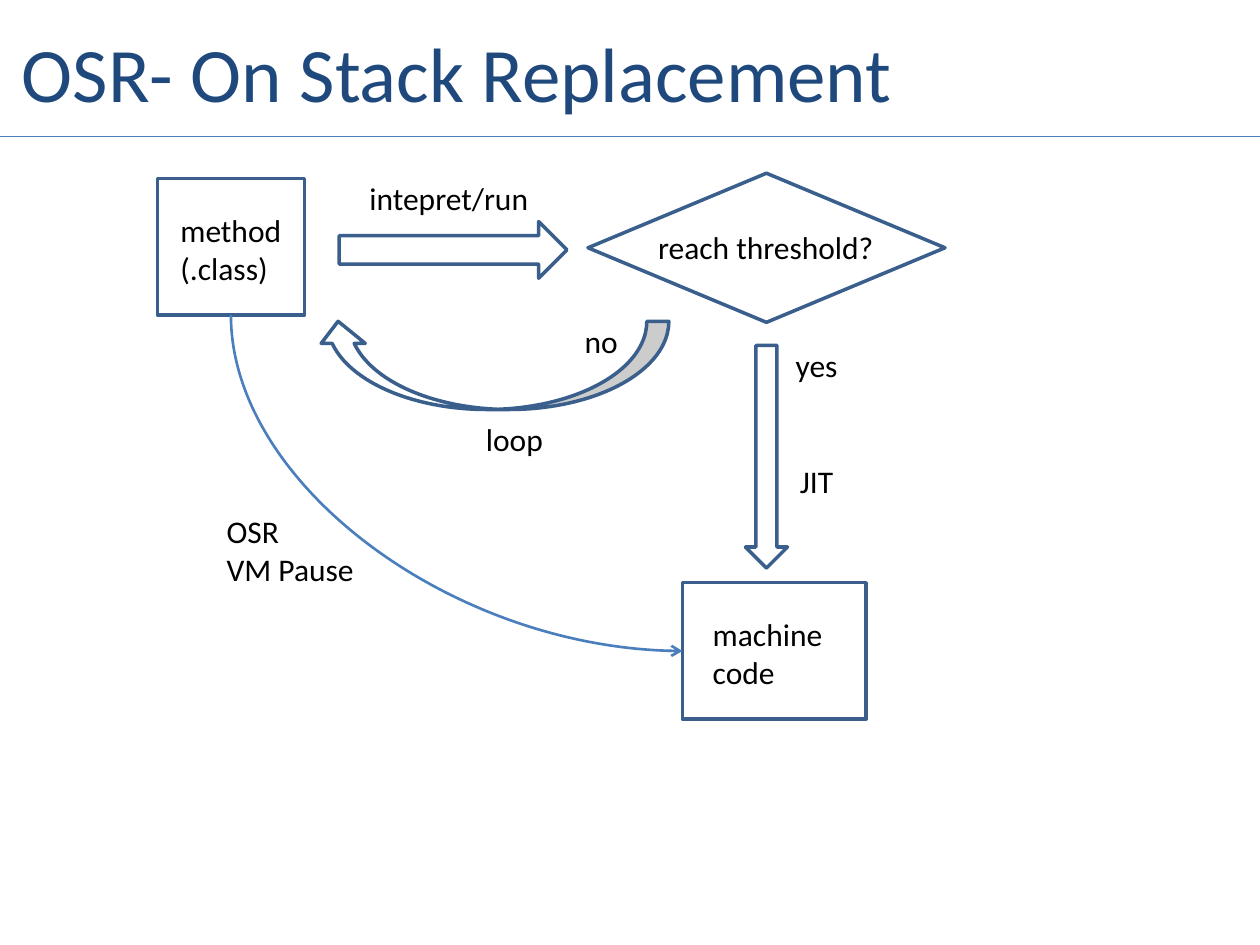
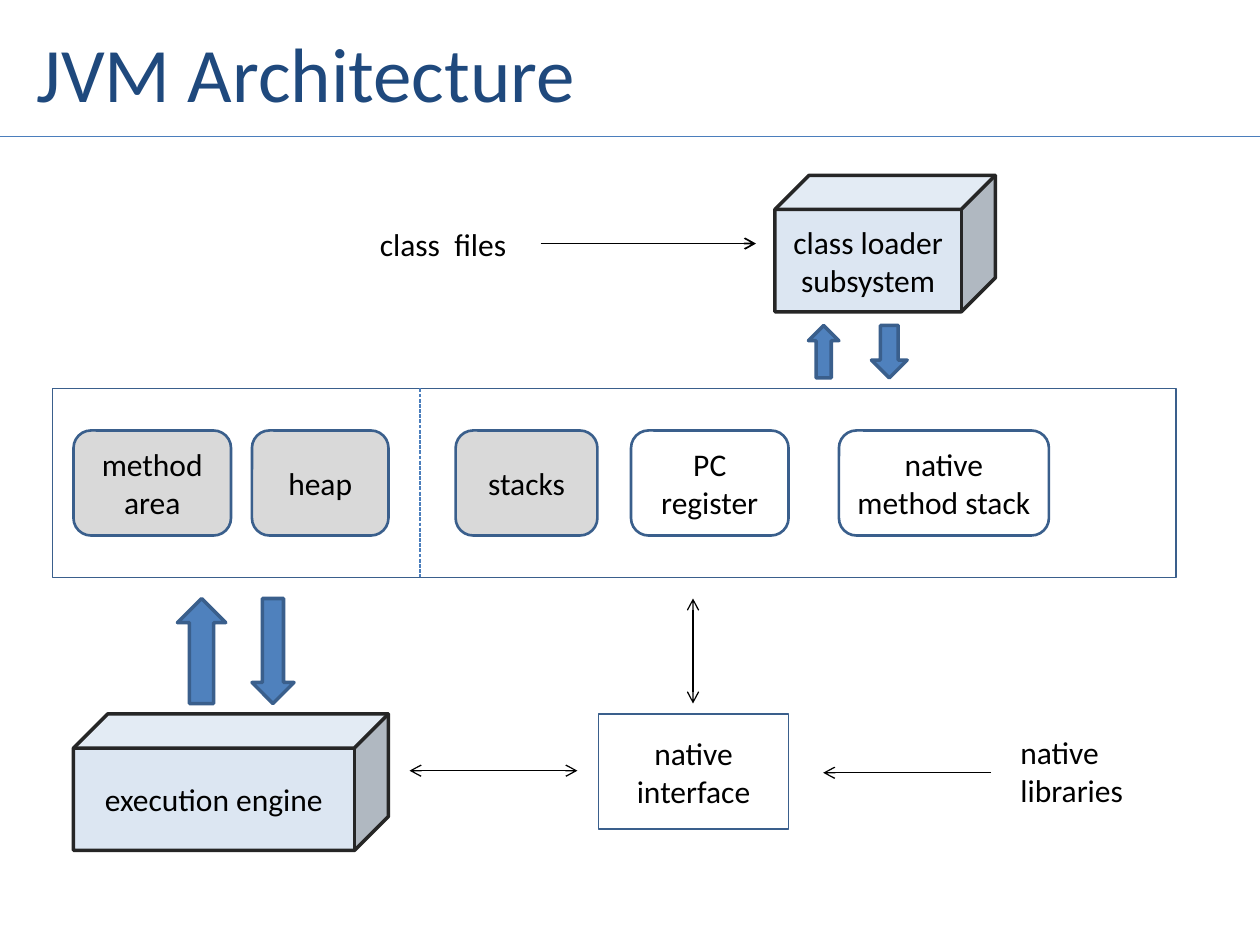
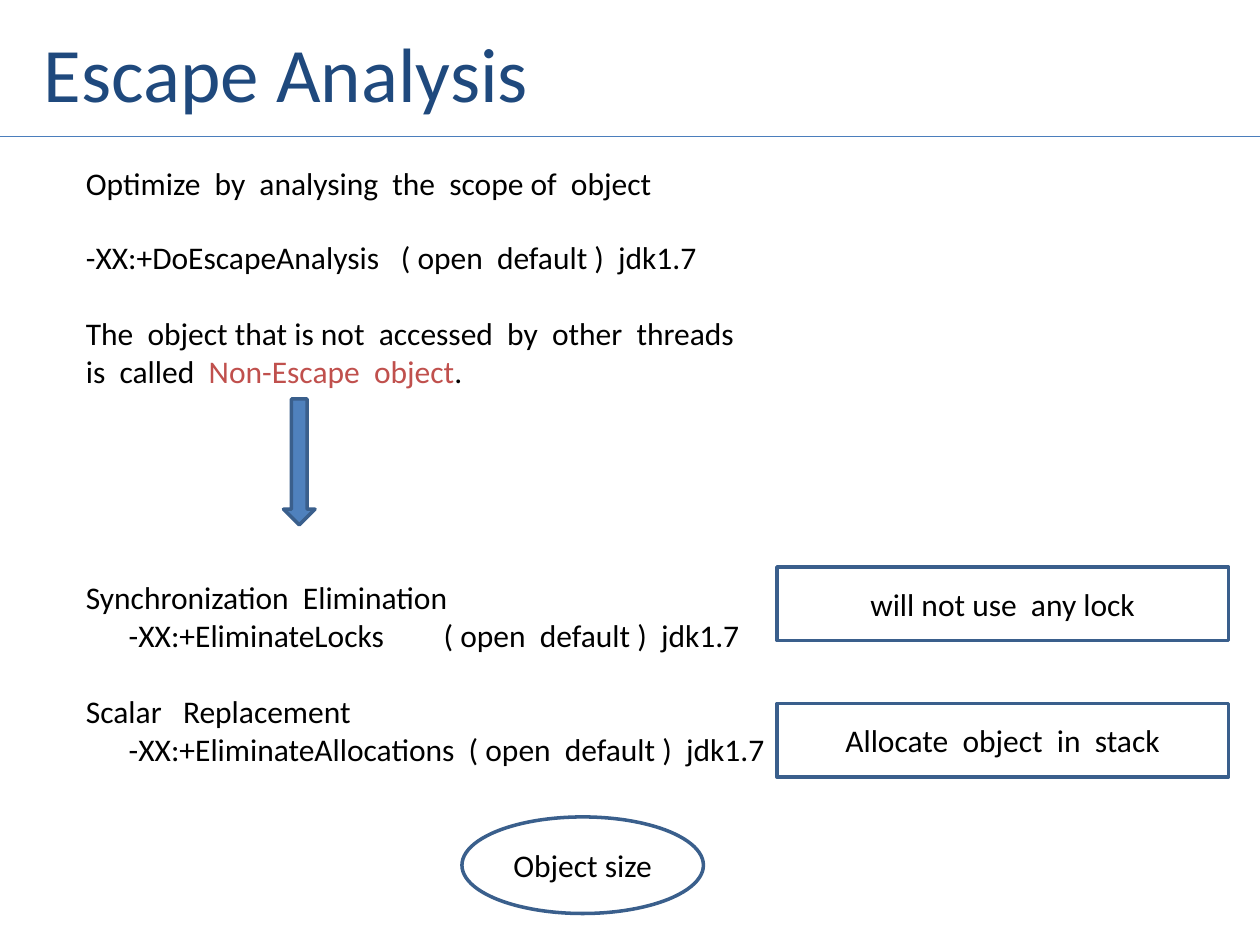
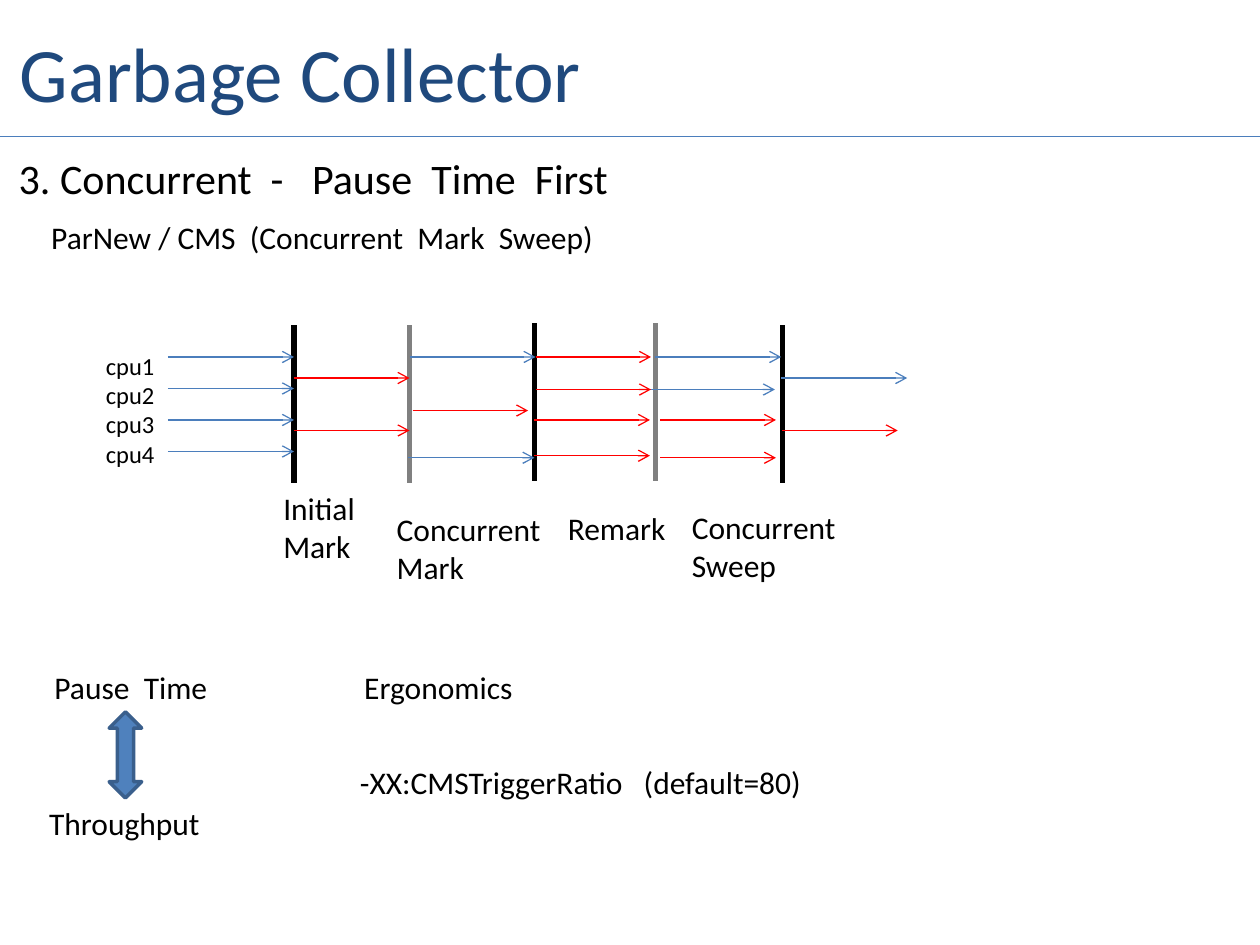
from lxml.etree import SubElement
from pptx import Presentation
from pptx.dml.color import RGBColor
from pptx.enum.dml import MSO_LINE
from pptx.enum.shapes import MSO_CONNECTOR, MSO_SHAPE
from pptx.enum.text import MSO_ANCHOR, PP_ALIGN
from pptx.oxml.ns import qn
from pptx.util import Emu, Inches, Pt

COLORS = {
    "title": "1F497D", "text": "000000", "white": "FFFFFF",
    "outline": "3A5F8C", "line": "4B7EBC", "arrow": "4F81BD",
    "cube": "DCE6F2", "cube_edge": "262626", "shared": "D9D9D9",
    "accent": "C0504D", "gc": "FF0000", "gray": "808080",
}
FONT = "Calibri"
COLUMNS, ROWS = 120, 90
CELL = Inches(10) // COLUMNS
LABEL_ROWS, TWO_LINE_ROWS = 4.8, 8.5
TEXT_LINE = 21.6  # height in points of one line of 18 pt text


def rgb(name):
    return RGBColor.from_string(COLORS[name])


def cells(*counts):
    """Turn numbers of grid cells into lengths."""
    return [Emu(round(count * CELL)) for count in counts]


def style_text(frame, size, color="text", align=None):
    for paragraph in frame.paragraphs:
        paragraph.alignment = align
        for run in paragraph.runs:
            run.font.name = FONT
            run.font.size = Pt(size)
            run.font.color.rgb = rgb(color)


def label(slide, text, column, row, width, height=LABEL_ROWS, size=18,
          color="text"):
    box = slide.shapes.add_textbox(*cells(column, row, width, height))
    frame = box.text_frame
    frame.word_wrap = True
    frame.text = text
    style_text(frame, size, color)
    return frame


def node(slide, kind, column, row, width, height, text="", fill="white",
         outline="outline", weight=2):
    """Add a preset shape, with centred text if there is any."""
    shape = slide.shapes.add_shape(kind, *cells(column, row, width, height))
    shape.shadow.inherit = False
    shape.fill.solid()
    shape.fill.fore_color.rgb = rgb(fill)
    shape.line.color.rgb = rgb(outline)
    shape.line.width = Pt(weight)
    if text:
        frame = shape.text_frame
        frame.word_wrap = True
        frame.vertical_anchor = MSO_ANCHOR.MIDDLE
        frame.text = text
        style_text(frame, 18, align=PP_ALIGN.CENTER)
    return shape


def line(slide, start, end, color="line", weight=0.75, ends=(),
         kind=MSO_CONNECTOR.STRAIGHT):
    """Add a line; ends names the open arrowheads, headEnd before tailEnd."""
    connector = slide.shapes.add_connector(kind, *cells(*start, *end))
    connector.line.color.rgb = rgb(color)
    connector.line.width = Pt(weight)
    outline = connector.line._get_or_add_ln()
    for end_tag in ends:
        SubElement(outline, qn(f"a:{end_tag}"), type="arrow")
    SubElement(connector._element.spPr, qn("a:effectLst"))
    return connector


def arrow(slide, start, end, color="line", weight=0.75):
    return line(slide, start, end, color, weight, ("tailEnd",))


def double_arrow(slide, start, end):
    line(slide, start, end, "text", ends=("headEnd", "tailEnd"))


def down_then_right(slide, start, end):
    """Add a quarter-curve arrow that leaves downwards and arrives rightwards."""
    curve = line(slide, start, end, weight=1.5, ends=("tailEnd",),
                 kind=MSO_CONNECTOR.CURVE)
    (x1, y1), (x2, y2) = start, end
    across, down = x2 - x1, y2 - y1
    curve.left, curve.top, curve.width, curve.height = cells(
        (x1 + x2 - down) / 2, (y1 + y2 - across) / 2, down, across)
    properties = curve._element.spPr
    properties.find(qn("a:prstGeom")).set("prst", "curvedConnector2")
    transform = properties.find(qn("a:xfrm"))
    transform.set("rot", str(270 * 60000))
    transform.set("flipH", "1")


def titled_slide(deck, title, column):
    slide = deck.slides.add_slide(deck.slide_layouts[6])
    heading = label(slide, title, column, 0, 105, 13.7, 44, "title")
    heading.vertical_anchor = MSO_ANCHOR.MIDDLE
    line(slide, (0, 13), (COLUMNS, 13))
    return slide


def osr_slide(deck):
    slide = titled_slide(deck, "OSR- On Stack Replacement", 0.9)
    node(slide, MSO_SHAPE.RECTANGLE, 15, 17, 14, 13)
    node(slide, MSO_SHAPE.DIAMOND, 56, 16.5, 34, 14.2)
    node(slide, MSO_SHAPE.RIGHT_ARROW, 32.3, 21.1, 21.7, 5.4)
    loop_back = node(slide, MSO_SHAPE.CURVED_DOWN_ARROW, 30.1, 30.6, 33.6, 8.4)
    loop_back.rotation = 180
    node(slide, MSO_SHAPE.DOWN_ARROW, 71, 32.9, 4, 21.2)
    node(slide, MSO_SHAPE.RECTANGLE, 65, 55.5, 17.5, 13)
    down_then_right(slide, (22, 30), (65, 62))

    for text, column, row, width in (
        ("intepret/run", 34, 16.5, 20.5),
        ("reach threshold?", 61.5, 21.1, 23),
        ("no", 54.5, 30.1, 24.5),
        ("yes", 74.6, 32.4, 10),
        ("loop", 45.1, 39.4, 13),
        ("JIT", 75, 43.4, 15),
    ):
        label(slide, text, column, row, width)
    for text, column, row, width in (
        ("method\n(.class)", 16, 19.5, 13),
        ("machine\ncode", 66.7, 58, 14.3),
        ("OSR\nVM Pause", 20.4, 48.2, 17.3),
    ):
        label(slide, text, column, row, width, TWO_LINE_ROWS)


def architecture_slide(deck):
    slide = titled_slide(deck, "JVM Architecture", 2.3)
    for text, column, row, width in (
        ("class loader subsystem", 73.8, 16.7, 21),
        ("execution engine", 7, 68, 30),
    ):
        node(slide, MSO_SHAPE.CUBE, column, row, width, 13, text,
             "cube", "cube_edge")

    node(slide, MSO_SHAPE.RECTANGLE, 5, 37, 107, 18, weight=0.75)
    for text, column, width, fill in (
        ("method area", 7, 15, "shared"),
        ("heap", 24, 13, "shared"),
        ("stacks", 43.4, 13.5, "shared"),
        ("PC register", 60.1, 15, "white"),
        ("native method stack", 79.9, 20, "white"),
    ):
        node(slide, MSO_SHAPE.ROUNDED_RECTANGLE, column, 41, width, 10, text,
             fill, weight=1.5)
    divider = line(slide, (40, 37), (40, 55))
    divider.line.dash_style = MSO_LINE.SQUARE_DOT

    node(slide, MSO_SHAPE.RECTANGLE, 57, 68, 18.1, 11, "native interface",
         weight=1)
    label(slide, "class  files", 35, 20.8, 16.6)
    label(slide, "native libraries", 96, 69.2, 16, TWO_LINE_ROWS)

    arrow(slide, (51.5, 23.2), (72, 23.2), "text", 1)
    arrow(slide, (94.4, 73.6), (78.4, 73.6), "text")
    double_arrow(slide, (66, 57), (66, 67))
    double_arrow(slide, (39, 73.4), (55, 73.4))
    for kind, column, row, width, height in (
        (MSO_SHAPE.UP_ARROW, 77, 31, 2.9, 5),
        (MSO_SHAPE.DOWN_ARROW, 83, 31, 3.4, 5),
        (MSO_SHAPE.UP_ARROW, 16.9, 57, 4.6, 10),
        (MSO_SHAPE.DOWN_ARROW, 24, 57, 4, 10),
    ):
        node(slide, kind, column, row, width, height, fill="arrow")


def set_flag_layout(paragraph, indent):
    """Indent a JVM flag and line its default up on a tab stop."""
    properties = paragraph._p.get_or_add_pPr()
    properties.set("marL", str(Inches(indent)))
    properties.set("indent", "0")
    tabs = SubElement(properties, qn("a:tabLst"))
    SubElement(tabs, qn("a:tab"), pos=str(Inches(2.77)), algn="l")


def escape_slide(deck):
    slide = titled_slide(deck, "Escape Analysis", 3)
    label(slide, "Optimize  by  analysing  the  scope of  object", 7, 15, 80)

    # Each entry: text, lines of space above, indent in inches
    entries = (
        ("-XX:+DoEscapeAnalysis\t( open  default )  jdk1.7", 0, 0),
        ("The  object that is not  accessed  by  other  threads", 1, 0),
        ("is  called  ", 0, 0),
        ("Synchronization  Elimination", 5, 0),
        ("-XX:+EliminateLocks\t( open  default )  jdk1.7", 0, 0.34),
        ("Scalar   Replacement", 1, 0),
        ("-XX:+EliminateAllocations  ( open  default )  jdk1.7", 0, 0.34),
    )
    frame = label(slide, "\n".join(entry[0] for entry in entries),
                  7, 22.1, 71, 55.7)
    for paragraph, (text, lines_above, indent) in zip(frame.paragraphs, entries):
        paragraph.space_before = Pt(lines_above * TEXT_LINE)
        if text.startswith("-XX"):
            set_flag_layout(paragraph, indent)
    definition = frame.paragraphs[2]
    term, stop = definition.add_run(), definition.add_run()
    term.text, stop.text = "Non-Escape  object", "."
    style_text(frame, 18)
    term.font.color.rgb = rgb("accent")

    node(slide, MSO_SHAPE.DOWN_ARROW, 27, 38, 3, 12, fill="arrow")
    for text, row in (("will not use  any lock", 54),
                      ("Allocate  object  in  stack", 67)):
        node(slide, MSO_SHAPE.RECTANGLE, 74, row, 43, 7, text)
    node(slide, MSO_SHAPE.OVAL, 44, 77.8, 23, 9.2, "Object size")


def collector_slide(deck):
    slide = titled_slide(deck, "Garbage Collector", 0.7)
    label(slide, "3. Concurrent  -   Pause  Time  First", 0.6, 13.9, 69.5, 6,
          size=24)
    label(slide, "ParNew / CMS  (Concurrent  Mark  Sweep)", 3.7, 20.2, 79)
    label(slide, "cpu1\ncpu2\ncpu3\ncpu4", 8.9, 32.8, 11, 12.5, size=14)

    for column, top, color in (
        (28, 31, "text"), (39, 31, "gray"), (50.9, 30.8, "text"),
        (62.4, 30.8, "gray"), (74.5, 31, "text"),
    ):
        line(slide, (column, top), (column, top + 15), color, 3)

    application_threads = (
        (16, (34, 37, 40, 43)), (39, (34,)), (38.9, (43.6,)),
        (62.4, (34,)), (61.8, (37.1,)), (74.4, (36,)),
    )
    collector_threads = (
        (28, (36, 41)), (39.3, (39.1,)), (51, (34, 37.1)),
        (50.9, (40, 43.4)), (62.9, (40, 43.6)), (74.5, (41,)),
    )
    for threads, length, color in ((application_threads, 12, "line"),
                                   (collector_threads, 11, "gc")):
        for column, rows in threads:
            for row in rows:
                arrow(slide, (column, row), (column + length, row), color)

    for phase, column, row, width, height in (
        ("Initial\nMark", 25.8, 46, 10.8, TWO_LINE_ROWS),
        ("Concurrent\nMark", 36.6, 48, 16.7, TWO_LINE_ROWS),
        ("Remark", 52.9, 47.9, 12, LABEL_ROWS),
        ("Concurrent\nSweep", 64.7, 47.8, 16.7, TWO_LINE_ROWS),
    ):
        label(slide, phase, column, row, width, height)

    label(slide, "Pause  Time", 4, 63, 27.2)
    label(slide, "Throughput", 3.5, 76, 22.8)
    node(slide, MSO_SHAPE.UP_DOWN_ARROW, 10.4, 67.8, 3.1, 8.2, fill="arrow")
    label(slide, "Ergonomics", 33.5, 63, 52)
    label(slide, "-XX:CMSTriggerRatio   (default=80)", 33.1, 72.1, 51.7)


def main():
    deck = Presentation()
    deck.slide_width, deck.slide_height = cells(COLUMNS, ROWS)
    osr_slide(deck)
    architecture_slide(deck)
    escape_slide(deck)
    collector_slide(deck)
    deck.save("out.pptx")


if __name__ == "__main__":
    main()
